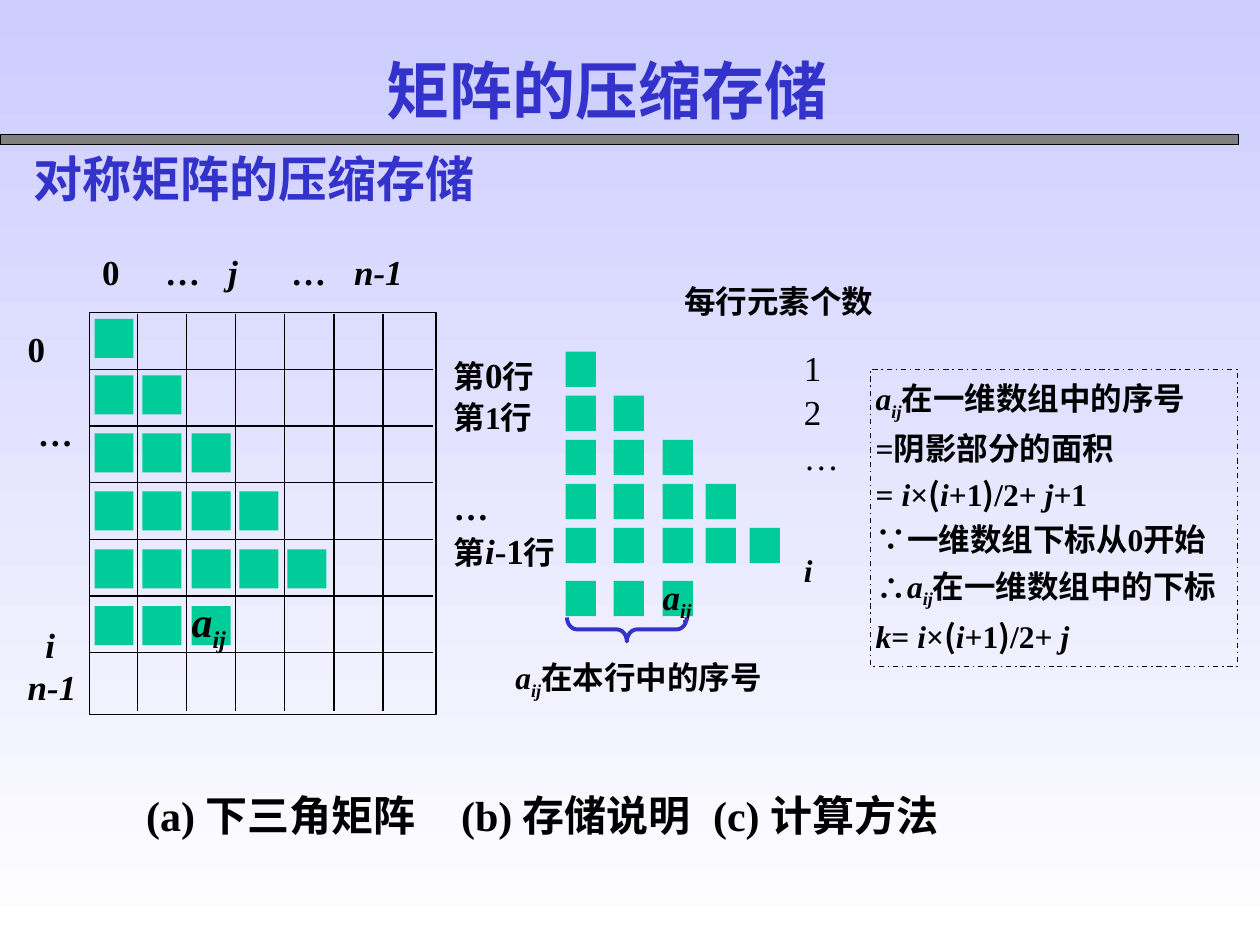
from lxml import etree
from pptx import Presentation
from pptx.dml.color import RGBColor
from pptx.enum import dml, shapes, text
from pptx.oxml import ns
from pptx.util import Inches, Pt

BLACK = RGBColor(0x00, 0x00, 0x00)
BLUE = RGBColor(0x33, 0x33, 0xCC)
GREEN = RGBColor(0x00, 0xCC, 0x99)
GRAY = RGBColor(0x80, 0x80, 0x80)
LAVENDER = RGBColor(0xCC, 0xCC, 0xFF)
WHITE = RGBColor(0xFF, 0xFF, 0xFF)
SERIF = "Times New Roman"
CJK = "Noto Sans CJK SC"
LEFT, JUSTIFY = text.PP_ALIGN.LEFT, text.PP_ALIGN.JUSTIFY
TOP, BOTTOM = text.MSO_ANCHOR.TOP, text.MSO_ANCHOR.BOTTOM


def write(holder, lines, size, color=BLACK, bold=True, font=SERIF, align=LEFT,
          spacing=1.0, before=(), indents=(), tabs=(), margins=(0, 0, 0, 0),
          anchor=TOP, wrap=True):
    frame = holder.text_frame
    frame.auto_size = text.MSO_AUTO_SIZE.NONE
    frame.word_wrap = wrap
    frame.vertical_anchor = anchor
    (frame.margin_left, frame.margin_top,
     frame.margin_right, frame.margin_bottom) = map(Inches, margins)
    for row, runs in enumerate(lines):
        paragraph = frame.paragraphs[0] if row == 0 else frame.add_paragraph()
        properties = paragraph._p.get_or_add_pPr()
        properties.set("marL", str(Inches(indents[row] if indents else 0)))
        properties.set("indent", "0")
        etree.SubElement(properties, ns.qn("a:buNone"))
        if tabs:
            stops = etree.SubElement(properties, ns.qn("a:tabLst"))
            for tab in tabs:
                etree.SubElement(stops, ns.qn("a:tab"), pos=str(Inches(tab)), algn="l")
        paragraph.alignment = align
        paragraph.line_spacing = spacing
        paragraph.space_before = Pt(before[row] if before else 0)
        paragraph.font.size = Pt(size)
        paragraph.font.bold = bold
        paragraph.font.name = font
        paragraph.font.color.rgb = color
        for words, style in runs:
            run = paragraph.add_run()
            run.text = words
            if "i" in style:
                run.font.italic = True
            if "s" in style:
                run.font._element.set("baseline", "-25000")
            if "c" in style:
                run.font.name = CJK
            if "b" in style:
                run.font.size = Pt(20)


def add_box(x, y, w, h, fill=None, line=None, kind=shapes.MSO_SHAPE.RECTANGLE):
    box = slide.shapes.add_shape(kind, Inches(x), Inches(y), Inches(w), Inches(h))
    box.shadow.inherit = False
    if fill is None:
        box.fill.background()
    else:
        box.fill.solid()
        box.fill.fore_color.rgb = fill
    if line is None:
        box.line.fill.background()
    else:
        box.line.color.rgb = line
        box.line.width = Pt(0.75)
    return box


deck = Presentation()
deck.slide_width, deck.slide_height = Inches(10), Inches(7.5)
slide = deck.slides.add_slide(deck.slide_layouts[1])

backdrop = slide.background.fill
backdrop.gradient()
backdrop.gradient_angle = 270
for stop, color, position in zip(backdrop.gradient_stops, (LAVENDER, WHITE), (0, 1)):
    stop.color.rgb = color
    stop.position = position

heading, method = slide.placeholders
for part, place in ((heading, (2.97, 0.36, 4.13, 0.7)), (method, (6.91, 2.93, 2.91, 2.36))):
    part.left, part.top, part.width, part.height = map(Inches, place)
write(heading, [[("矩阵的压缩存储", "")]], 36, BLUE, margins=(0.1, 0.05, 0.1, 0.05))

element = [("a", "i"), ("ij", "is")]
product = [("i", "i"), ("×", ""), ("(", "c"), ("i", "i"), ("+1", ""), (")", "c"),
           ("/2+ ", ""), ("j", "i")]
write(method, [
    element + [("在一维数组中的序号", "")],
    [("=阴影部分的面积", "")],
    [("= ", "")] + product + [("+1", "")],
    [("∵一维数组下标从0开始", "")],
    [("∴", "")] + element + [("在一维数组中的下标", "")],
    [("k", "i"), ("= ", "")] + product,
], 18, spacing=1.2, margins=(0.04, 0.01, 0, 0.01))
method.line.color.rgb = BLACK
method.line.width = Pt(0.75)
method.line.dash_style = dml.MSO_LINE.DASH_DOT

add_box(0, 1.07, 9.83, 0.08, GRAY, BLACK)

add_box(0.71, 2.48, 2.75, 3.19, line=BLACK)
grid_lines = []
for k in range(6):
    y, x = 2.93 + 0.45 * k, 1.09 + 0.39 * k
    grid_lines += [(0.71, y, 3.44, y), (x, 2.49, x, 5.64)]
for ends in grid_lines:
    grid_line = slide.shapes.add_connector(shapes.MSO_CONNECTOR.STRAIGHT, *map(Inches, ends))
    grid_line.line.color.rgb = BLACK
    grid_line.line.width = Pt(0.75)
    etree.SubElement(grid_line._element.spPr, ns.qn("a:effectLst"))

filled = (1, 2, 3, 4, 5, 3)
triangles = (
    ((0.75, 1.13, 1.52, 1.9, 2.28), (2.53, 2.98, 3.44, 3.9, 4.36, 4.81), 0.31, 0.31, 24),
    ((4.49, 4.87, 5.26, 5.6, 5.95), (2.79, 3.14, 3.49, 3.84, 4.19, 4.61), 0.24, 0.28, 20),
)
for columns, rows, width, height, size in triangles:
    for y, count in zip(rows, filled):
        for x in columns[:count]:
            cell = add_box(x, y, width, height, GREEN)
    write(cell, [element], size, spacing=0.64, anchor=BOTTOM, wrap=False)

brace = add_box(4.88, 4.52, 0.19, 0.95, line=BLUE, kind=shapes.MSO_SHAPE.LEFT_BRACE)
brace.rotation = 270
brace.adjustments[0] = 0.42
brace.line.width = Pt(2.25)

labels = (
    ((0.17, 1.13, 7.08, 0.66), [[("对称矩阵的压缩存储", "")]],
     dict(size=28, color=BLUE, font=CJK, margins=(0.1, 0.05, 0.1, 0.05))),
    ((0.81, 1.99, 2.61, 0.47),
     [[("0\t…\t", ""), ("j\t", "i"), ("…\t", ""), ("n-1", "i")]],
     dict(size=20, tabs=(0.28, 0.77, 1.12, 2.17))),
    ((0.22, 2.6, 0.47, 3.15), [[("0", "")], [("…", "")], [("i", "i")], [("n-1", "i")]],
     dict(size=20, before=(0, 24, 97, 0), indents=(0, 0.08, 0.14, 0))),
    ((5.43, 2.24, 1.57, 0.37), [[("每行元素个数", "")]], dict(size=18)),
    ((6.38, 2.77, 0.27, 1.2), [[("1", "")], [("2", "")], [("…", "")]],
     dict(size=20, bold=False, spacing=0.96, before=(0, 2.5, 2.5))),
    ((6.38, 4.37, 0.27, 0.3), [[("i", "i")]], dict(size=18)),
    ((3.6, 2.83, 0.87, 1.88),
     [[("第", ""), ("0", "b"), ("行", "")], [("第1行", "")], [("…", "b")],
      [("第", ""), ("i", "ib"), ("-1", "b"), ("行", "")]],
     dict(size=18, spacing=0.96, align=JUSTIFY, before=(0, 2.2, 29, 2.2))),
    ((4.09, 5.22, 2.1, 0.45), [element + [("在本行中的序号", "")]], dict(size=18)),
    ((1.16, 6.27, 8.61, 0.47), [[("(a) 下三角矩阵\t(b) 存储说明\t(c) 计算方法", "")]],
     dict(size=24, tabs=(3.21, 6.25))),
)
for place, lines, look in labels:
    write(slide.shapes.add_textbox(*map(Inches, place)), lines, **look)

deck.save("out.pptx")
